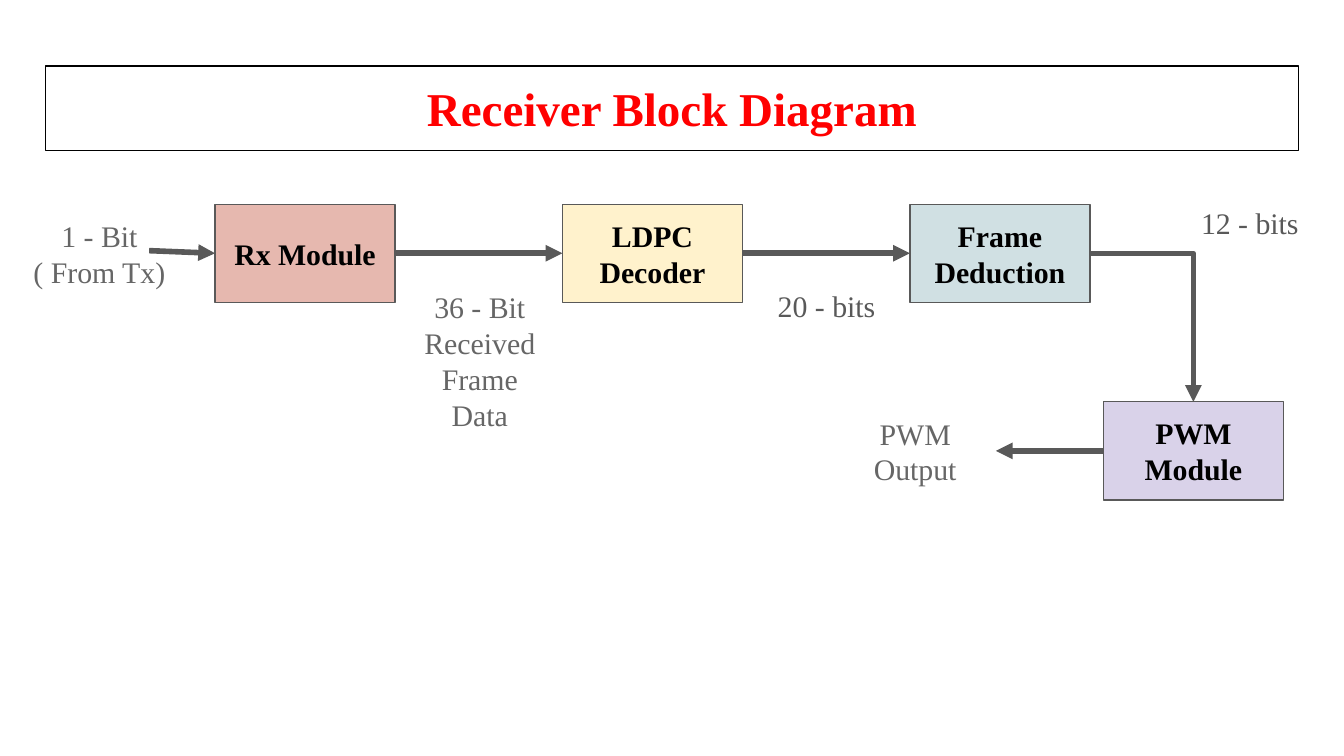
from lxml import etree
from pptx import Presentation
from pptx.dml.color import RGBColor as RGB
from pptx.enum.shapes import MSO_CONNECTOR as CONN, MSO_SHAPE as SHAPE
from pptx.enum.text import MSO_ANCHOR as ANCHOR, PP_ALIGN as ALIGN
from pptx.oxml.ns import qn
from pptx.util import Inches, Pt

COLORS = {
    "title": "FF0000", "black": "000000", "line": "595959", "label": "666666",
    "rx": "E6B8AF", "decoder": "FFF2CC", "frame": "D0E0E3", "pwm": "D9D2E9",
}
FONT = "Times New Roman"
BLOCK_W, BLOCK_H = 1.34, 0.73
TOP, LEFT, RIGHT = 0, 1, 3


def rgb(name):
    """Return the named colour."""
    return RGB.from_string(COLORS[name])


def write(shape, lines, size, color, bold=False, anchor=ANCHOR.TOP):
    """Write centred lines, one paragraph each."""
    tf = shape.text_frame
    tf.word_wrap = True
    tf.vertical_anchor = anchor
    tf.margin_left = tf.margin_right = Inches(0.1)
    tf.margin_top = tf.margin_bottom = Inches(0.1)
    for i, line in enumerate(lines):
        p = tf.paragraphs[0] if i == 0 else tf.add_paragraph()
        p.alignment = ALIGN.CENTER
        r = p.add_run()
        r.text = line
        r.font.name = FONT
        r.font.size = Pt(size)
        r.font.bold = bold
        r.font.color.rgb = rgb(color)


def add_box(s, x, y, w, h, line, fill=None):
    """Add an outlined rectangle, filled when a colour is given."""
    sp = s.shapes.add_shape(SHAPE.RECTANGLE, Inches(x), Inches(y), Inches(w), Inches(h))
    sp.shadow.inherit = False
    sp.line.color.rgb = rgb(line)
    sp.line.width = Pt(0.75)
    if fill:
        sp.fill.solid()
        sp.fill.fore_color.rgb = rgb(fill)
    else:
        sp.fill.background()
    return sp


def add_title(s, x, y, w, h):
    """Add the framed title."""
    sp = add_box(s, x, y, w, h, "black")
    write(sp, ["Receiver Block Diagram"], 25.2, "title", True)


def add_block(s, x, y, lines, fill):
    """Add one block of the diagram."""
    sp = add_box(s, x, y, BLOCK_W, BLOCK_H, "line", fill)
    write(sp, lines, 16, "black", True, ANCHOR.MIDDLE)
    return sp


def add_label(s, x, y, w, h, lines, color="label"):
    """Add a signal label."""
    sp = s.shapes.add_textbox(Inches(x), Inches(y), Inches(w), Inches(h))
    write(sp, lines, 16, color)


def add_arrow(s, start, end, source=None, target=None, bent=False):
    """Add an arrow, joined to a (block, side) pair at either end."""
    kind = CONN.ELBOW if bent else CONN.STRAIGHT
    points = [Inches(v) for v in (*start, *end)]
    c = s.shapes.add_connector(kind, *points)
    if source:
        c.begin_connect(*source)
    if target:
        c.end_connect(*target)
    c.line.color.rgb = rgb("line")
    c.line.width = Pt(3)
    sp_pr = c._element.spPr
    if bent:
        sp_pr.find(qn("a:prstGeom")).set("prst", "bentConnector2")
    etree.SubElement(c.line._get_or_add_ln(), qn("a:tailEnd"), type="triangle")
    etree.SubElement(sp_pr, qn("a:effectLst"))


def add_diagram(s, x, y):
    """Add the receiver chain from its top left corner."""
    first, step = x + 1.46, 2.585
    mid = y + BLOCK_H / 2
    xs = [first + i * step for i in range(3)]
    pwm_x, pwm_y = x + 8.07, y + 1.47
    out_y = pwm_y + BLOCK_H / 2
    rx = add_block(s, xs[0], y, ["Rx Module"], "rx")
    decoder = add_block(s, xs[1], y, ["LDPC", "Decoder"], "decoder")
    frame = add_block(s, xs[2], y, ["Frame", "Deduction"], "frame")
    pwm = add_block(s, pwm_x, pwm_y, ["PWM Module"], "pwm")

    add_arrow(s, (x + 0.97, mid - 0.02), (xs[0], mid), target=(rx, LEFT))
    for i, (a, b) in enumerate([(rx, decoder), (decoder, frame)]):
        add_arrow(s, (xs[i] + BLOCK_W, mid), (xs[i + 1], mid), (a, RIGHT), (b, LEFT))
    add_arrow(s, (xs[2] + BLOCK_W, mid), (pwm_x + BLOCK_W / 2, pwm_y),
              (frame, RIGHT), (pwm, TOP), bent=True)
    add_arrow(s, (pwm_x, out_y), (pwm_x - 0.8, out_y), (pwm, LEFT))

    add_label(s, x, y, 1.2, BLOCK_H, ["1 - Bit", "( From Tx)"])
    add_label(s, x + 2.82, y + 0.53, 1.22, 0.63, ["36 - Bit", "Received Frame Data"])
    add_label(s, x + 5.41, y + 0.52, 1.2, 0.47, ["20 - bits"], "line")
    add_label(s, x + 8.56, y - 0.1, 1.2, 0.47, ["12 - bits"], "line")
    add_label(s, pwm_x - 2, pwm_y, 1.2, BLOCK_H, ["PWM", "Output"])


def main():
    """Build and save the slide."""
    prs = Presentation()
    prs.slide_width, prs.slide_height = Inches(10), Inches(10 * 9 / 16)
    s = prs.slides.add_slide(prs.slide_layouts[6])
    add_title(s, 0.34, 0.49, 9.32, 0.63)
    add_diagram(s, 0.14, 1.52)
    prs.save("out.pptx")


if __name__ == "__main__":
    main()
